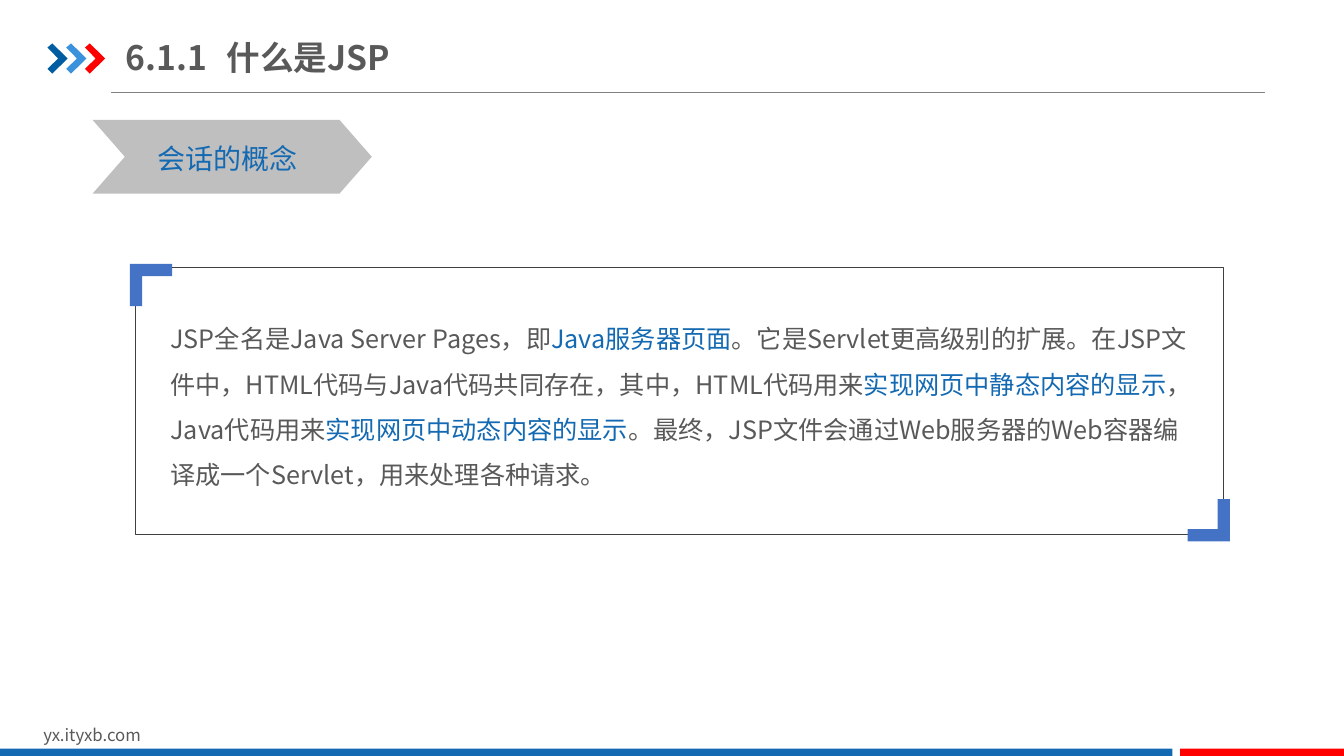
from lxml import etree
from pptx import Presentation
from pptx.dml.color import RGBColor
from pptx.enum.shapes import MSO_CONNECTOR, MSO_SHAPE
from pptx.enum.text import MSO_ANCHOR, MSO_AUTO_SIZE, PP_ALIGN
from pptx.oxml.ns import qn
from pptx.util import Pt

RECTANGLE, CHEVRON = MSO_SHAPE.RECTANGLE, MSO_SHAPE.CHEVRON
STRAIGHT = MSO_CONNECTOR.STRAIGHT
LEFT = PP_ALIGN.LEFT
TOP, MIDDLE = MSO_ANCHOR.TOP, MSO_ANCHOR.MIDDLE
NO_AUTOFIT = MSO_AUTO_SIZE.NONE

# Content
FONT = "Noto Sans CJK SC"
COLORS = {
    "text": "595959", "blue": "1369B2", "red": "FF0000", "navy": "005DA2",
    "sky": "3992DB", "bracket": "4472C4", "banner": "BFBFBF",
    "rule": "808080", "frame": "404040",
}
TITLE = [("6.1.1\t什么是JSP", "text")]
BANNER = [("会话的概念", "blue")]
FOOTER = [("yx.ityxb.com", "text")]
BODY = [
    ("JSP全名是Java Server Pages，即", "text"),
    ("Java服务器页面", "blue"),
    ("。它是Servlet更高级别的扩展。在JSP文件中，HTML代码与Java代码共同存在，"
     "其中，HTML代码用来", "text"),
    ("实现网页中静态内容的显示", "blue"),
    ("，Java代码用来", "text"),
    ("实现网页中动态内容的显示", "blue"),
    ("。最终，JSP文件会通过Web服务器的Web容器编译成一个Servlet，用来处理各种请求。", "text"),
]

# Layout in points
ARROW_COLORS = ["navy", "sky", "red"]
ARROW_LEFT, ARROW_TOP, ARROW_STEP = 33.9, 31, 13.4
ARROW = [(0, 3), (3.5, 0), (14.4, 10.8), (3.5, 21.6), (0, 18.2), (7.7, 10.8)]
BRACKET_SIZE, BRACKET_THICKNESS = 30.2, 8.7
BRACKET = [(0, 0), (BRACKET_SIZE, 0), (BRACKET_SIZE, BRACKET_THICKNESS),
           (BRACKET_THICKNESS, BRACKET_THICKNESS),
           (BRACKET_THICKNESS, BRACKET_SIZE), (0, BRACKET_SIZE)]
BRACKET_CORNERS = [(92.8, 188.5, 1), (878.5, 386.7, -1)]
TITLE_TAB = 74.8

presentation = Presentation()
presentation.slide_width, presentation.slide_height = Pt(960), Pt(540)
slide = presentation.slides.add_slide(presentation.slide_layouts[1])


def color(name):
    return RGBColor.from_string(COLORS[name])


def style(shape, fill=None, line=None, width=0.25):
    shape.shadow.inherit = False
    if fill:
        shape.fill.solid()
        shape.fill.fore_color.rgb = color(fill)
    else:
        shape.fill.background()
    if line:
        shape.line.color.rgb = color(line)
        shape.line.width = Pt(width)
    else:
        shape.line.fill.background()


def add_block(kind, box, **formats):
    shape = slide.shapes.add_shape(kind, *map(Pt, box))
    style(shape, **formats)
    return shape


def add_outline(points, left, top, fill, direction=1):
    corners = [(Pt(left + direction * x), Pt(top + direction * y)) for x, y in points]
    builder = slide.shapes.build_freeform(*corners[0])
    builder.add_line_segments(corners[1:], close=True)
    style(builder.convert_to_shape(), fill=fill)


def write(runs, box, shape=None, size=18, bold=False, anchor=TOP, spacing=1.0,
          insets=(7.2, 3.6), wrap=True, tab=None):
    shape = shape or slide.shapes.add_textbox(*map(Pt, box))
    shape.left, shape.top, shape.width, shape.height = map(Pt, box)
    frame = shape.text_frame
    frame.auto_size, frame.word_wrap, frame.vertical_anchor = NO_AUTOFIT, wrap, anchor
    frame.margin_left = frame.margin_right = Pt(insets[0])
    frame.margin_top = frame.margin_bottom = Pt(insets[1])
    paragraph = frame.paragraphs[0]
    properties = paragraph._p.get_or_add_pPr()
    properties.set("marL", "0")
    properties.set("indent", "0")
    etree.SubElement(properties, qn("a:buNone"))
    if tab:
        tabs = etree.SubElement(properties, qn("a:tabLst"))
        etree.SubElement(tabs, qn("a:tab"), pos=str(Pt(tab)), algn="l")
    paragraph.alignment, paragraph.line_spacing = LEFT, spacing
    paragraph.space_before = Pt(0)
    for text, color_name in runs:
        run = paragraph.add_run()
        run.text = text
        run.font.size, run.font.bold = Pt(size), bold
        run.font.color.rgb = color(color_name)
        run.font.name = FONT
        etree.SubElement(run._r.get_or_add_rPr(), qn("a:ea"), typeface=FONT)


# Header rule and arrows
rule = slide.shapes.add_connector(STRAIGHT, Pt(79.2), Pt(65.8), Pt(903.6), Pt(65.8))
rule.line.color.rgb = color("rule")
rule.line.width = Pt(0.5)
etree.SubElement(rule._element.spPr, qn("a:effectLst"))
for index, name in enumerate(ARROW_COLORS):
    add_outline(ARROW, ARROW_LEFT + index * ARROW_STEP, ARROW_TOP, name)

# Footer
write(FOOTER, (23.8, 514, 229, 21.8), size=12)
add_block(RECTANGLE, (0, 534.8, 837.4, 6.2), fill="blue")
add_block(RECTANGLE, (843, 534.8, 117, 6.2), fill="red")

# Title and section banner
write(TITLE, (90, 20.9, 210.2, 39.6), slide.shapes.title, size=24, bold=True,
      anchor=MIDDLE, insets=(0, 5), tab=TITLE_TAB)
banner = add_block(CHEVRON, (66.2, 85.7, 199.4, 52.6), fill="banner")
banner.adjustments[0] = 0.438
write(BANNER, (105.1, 97.2, 115.2, 31.7), size=20, wrap=False)

# Framed explanation
write(BODY, (114.5, 216.7, 740.9, 140.4), slide.placeholders[1], spacing=1.5)
add_block(RECTANGLE, (96.5, 190.8, 776.9, 190.5), line="frame")
for left, top, direction in BRACKET_CORNERS:
    add_outline(BRACKET, left, top, "bracket", direction)

presentation.save("out.pptx")
